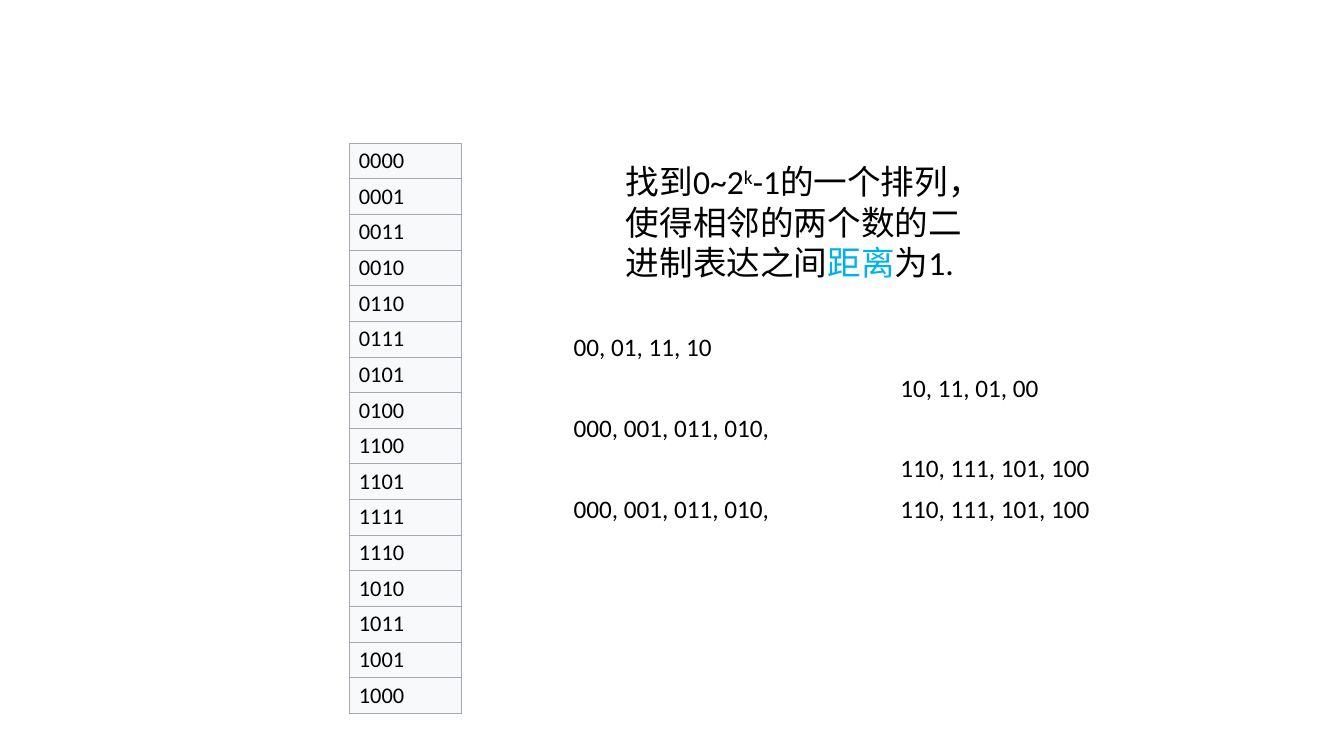
from lxml.etree import SubElement
from pptx import Presentation
from pptx.dml.color import RGBColor
from pptx.enum.text import MSO_ANCHOR, MSO_AUTO_SIZE
from pptx.oxml.ns import qn
from pptx.util import Inches, Pt

COLORS = {"text": "000000", "accent": "00B0F0", "page": "FFFFFF",
          "code_fill": "F8F9FA", "code_line": "A2A9B1"}
FONT = "Calibri"
CODE_BITS = 4

TASK = [("找到0~2", "text"), ("k", "text"),
        ("-1的一个排列，使得相邻的两个数的二进制表达之间", "text"),
        ("距离", "accent"), ("为1.", "text")]
EXPONENT = "k"

REFLECTION = [("00, 01, 11, 10", ""),
              ("", "10, 11, 01, 00"),
              ("000, 001, 011, 010,", ""),
              ("", "110, 111, 101, 100"),
              ("000, 001, 011, 010,", "110, 111, 101, 100")]


def color(name):
    return RGBColor.from_string(COLORS[name])


def style(font, size):
    font.name, font.size = FONT, Pt(size)
    font.color.rgb = color("text")


def outline(cell, line_color, width):
    """Draw all four borders; they precede the fill in the cell properties."""
    properties = cell._tc.get_or_add_tcPr()
    for index, side in enumerate(("lnL", "lnR", "lnT", "lnB")):
        line = SubElement(properties, qn(f"a:{side}"), w=str(Pt(width)))
        fill = SubElement(line, qn("a:solidFill"))
        SubElement(fill, qn("a:srgbClr"), val=COLORS[line_color])
        properties.insert(index, line)


def add_grid(slide, rows, left, top, widths, height, size, fill,
             inset=0.05, border=None):
    """Place a plain table whose rows share the given height equally."""
    grid = slide.shapes.add_table(
        len(rows), len(widths), Inches(left), Inches(top),
        Inches(sum(widths)), Inches(height)).table
    grid.first_row = grid.horz_banding = False
    for column, width in zip(grid.columns, widths):
        column.width = Inches(width)
    for r, row in enumerate(rows):
        for c, words in enumerate(row):
            cell = grid.cell(r, c)
            cell.text = words
            cell.vertical_anchor = MSO_ANCHOR.MIDDLE
            cell.margin_top = cell.margin_bottom = Inches(inset)
            if border:
                outline(cell, border, 0.75)
                cell.margin_left = cell.margin_right = Inches(0.09)
            cell.fill.solid()
            cell.fill.fore_color.rgb = color(fill)
            style(cell.text_frame.paragraphs[0].font, size)


def add_task(slide, left, top, width, height):
    frame = slide.shapes.add_textbox(
        Inches(left), Inches(top), Inches(width), Inches(height)).text_frame
    frame.word_wrap = True
    frame.auto_size = MSO_AUTO_SIZE.SHAPE_TO_FIT_TEXT
    statement = frame.paragraphs[0]
    style(statement.font, 24)
    for words, tint in TASK:
        run = statement.add_run()
        run.text = words
        run.font.color.rgb = color(tint)
        if words == EXPONENT:
            run._r.get_or_add_rPr().set("baseline", "30000")


def add_reflection(slide, left, top, widths, height):
    add_grid(slide, REFLECTION, left, top, widths, height, 18, "page")


def add_gray_code(slide, left, top, width, height):
    codes = [(f"{n ^ n >> 1:0{CODE_BITS}b}",) for n in range(2 ** CODE_BITS)]
    add_grid(slide, codes, left, top, [width], height, 16, "code_fill",
             inset=0.04, border="code_line")


def main():
    deck = Presentation()
    deck.slide_width, deck.slide_height = Inches(13.33), Inches(7.5)
    slide = deck.slides.add_slide(deck.slide_layouts[6])

    # Problem statement
    add_task(slide, 6.11, 1.55, 3.54, 1.31)
    # Sequences and their mirror images
    add_reflection(slide, 5.59, 3.25, [3.24, 2.18], 2)
    # Complete four-bit code
    add_gray_code(slide, 3.47, 1.42, 1.11, 5.66)

    deck.save("out.pptx")


if __name__ == "__main__":
    main()
